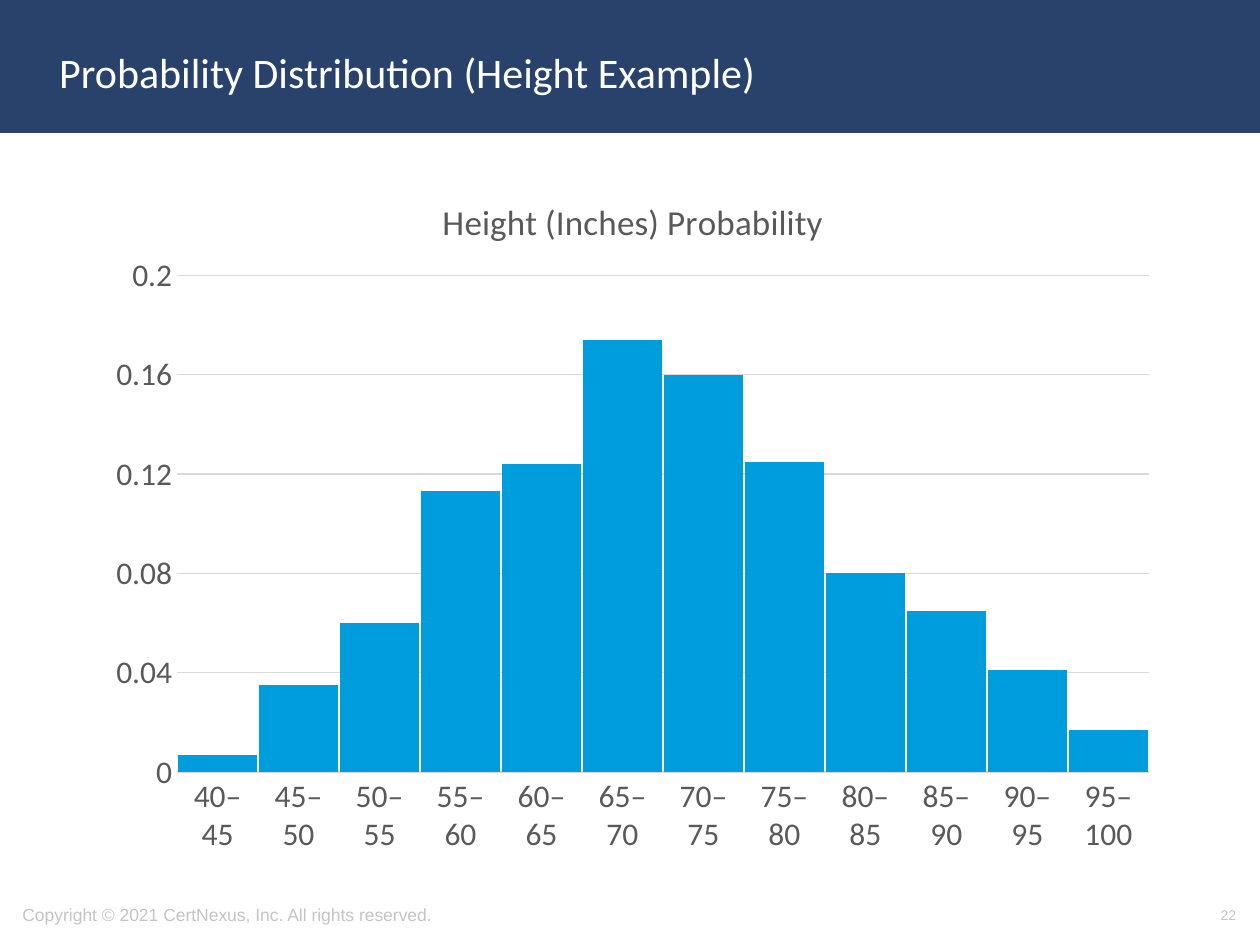
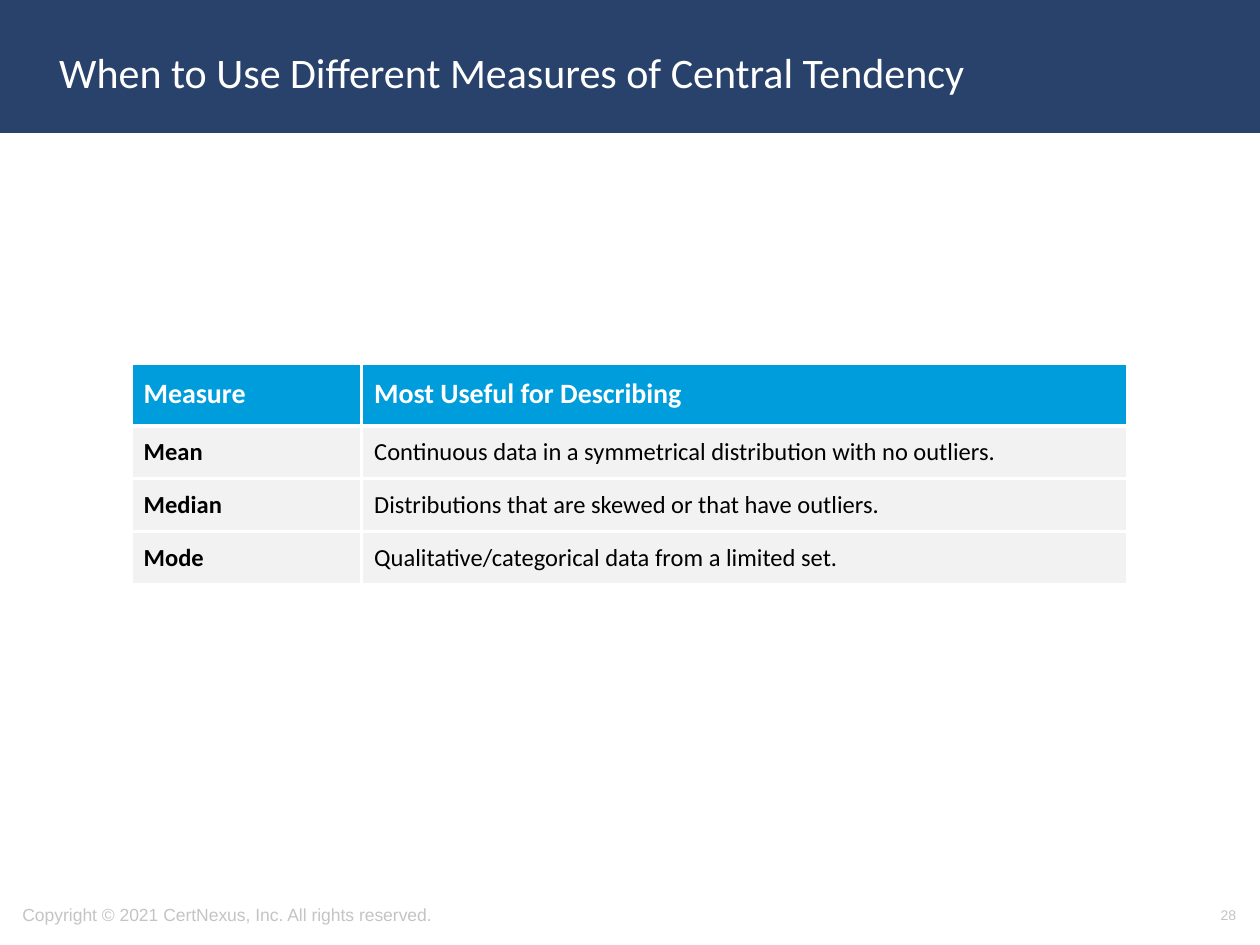
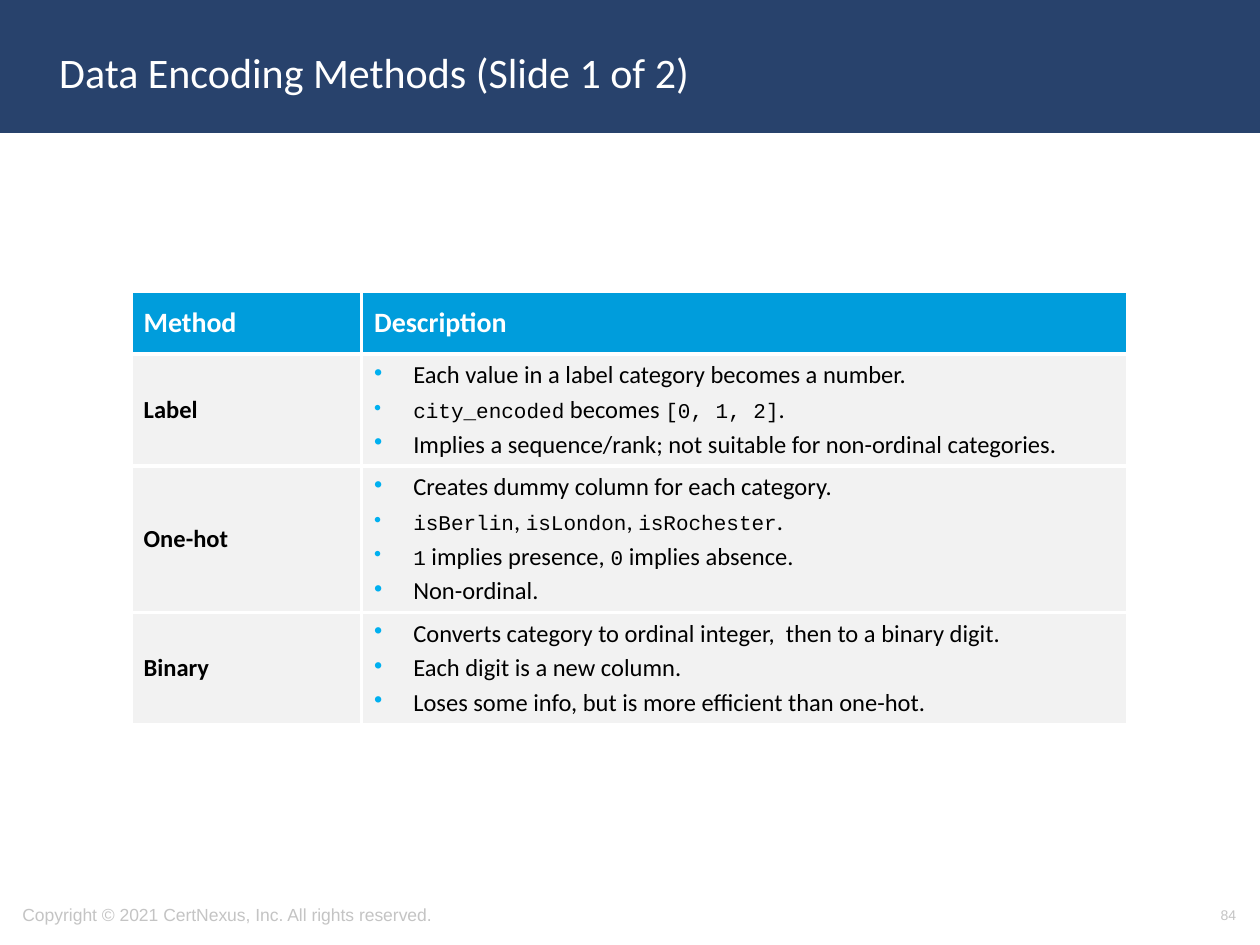
from dataclasses import dataclass
from lxml.etree import SubElement
from pptx import Presentation
from pptx.chart.data import CategoryChartData
from pptx.dml.color import RGBColor
from pptx.enum.chart import XL_CHART_TYPE, XL_TICK_MARK
from pptx.enum.shapes import MSO_SHAPE
from pptx.enum.text import MSO_ANCHOR, PP_ALIGN
from pptx.oxml import parse_xml
from pptx.oxml.ns import nsdecls, qn
from pptx.util import Inches, Pt


@dataclass(frozen=True)
class Theme:
    """Colours, fonts and type sizes of the deck."""
    navy: str = "28426C"
    blue: str = "009DDC"
    dot: str = "00B0F0"
    pale: str = "F2F2F2"
    white: str = "FFFFFF"
    black: str = "000000"
    gray: str = "595959"
    rule: str = "D9D9D9"
    faint: str = "C4C4C4"
    body: str = "Calibri"
    plain: str = "Arial"
    mono: str = "Courier New"
    title: int = 24
    chart: int = 20
    axis: int = 18
    head: int = 16
    cell: int = 14
    code: int = 12
    foot: int = 10
    page: int = 8


T = Theme()
TITLE = dict(name=T.body, size=Pt(T.title), color=T.white, bold=False)
FOOT = dict(name=T.plain, size=Pt(T.foot), color=T.faint)
PAGE = FOOT | dict(size=Pt(T.page))
AXIS = dict(name=T.body, size=Pt(T.axis), color=T.gray, bold=False)
CHART = AXIS | dict(size=Pt(T.chart))
HEAD = dict(name=T.body, size=Pt(T.head), color=T.white, bold=True)
CELL = dict(name=T.body, size=Pt(T.cell), color=T.black, bold=False)
LABEL = CELL | dict(bold=True)
CODE = CELL | dict(name=T.mono, size=Pt(T.code))


def put(item, **vals):
    """Set each named attribute on an item."""
    for key, val in vals.items():
        setattr(item, key, val)


def style(font, look):
    """Apply a text look to a font."""
    for key, val in look.items():
        if key == "color":
            font.color.rgb = RGBColor.from_string(val)
        else:
            setattr(font, key, val)


def paint(fill, color):
    """Make a fill solid."""
    fill.solid()
    fill.fore_color.rgb = RGBColor.from_string(color)


def stroke(line, color, width):
    """Colour a line and set its width in points."""
    paint(line.fill, color)
    line.width = Pt(width)


def place(shape, box):
    """Move a shape to a box given in inches."""
    for key, val in zip(("left", "top", "width", "height"), box):
        setattr(shape, key, Inches(val))


def write(para, text, look):
    """Add runs to a paragraph, with backticks around code."""
    for n, part in enumerate(text.split("`")):
        if part:
            run = para.add_run()
            run.text = part
            style(run.font, CODE if n % 2 else look)


def note(slide, box, text, look, align):
    """Add a small line of footer text."""
    shape = slide.shapes.add_textbox(*map(Inches, box))
    frame = shape.text_frame
    put(frame, word_wrap=True, vertical_anchor=MSO_ANCHOR.MIDDLE)
    frame.paragraphs[0].alignment = align
    write(frame.paragraphs[0], text, look)


def start(deck, title, page):
    """Add a slide with band, title and footer."""
    slide = deck.slides.add_slide(deck.slide_layouts[5])
    band = slide.shapes.add_shape(MSO_SHAPE.RECTANGLE, 0, 0, deck.slide_width, Inches(1.04))
    band.shadow.inherit = False
    paint(band.fill, T.navy)
    stroke(band.line, T.navy, 2)
    head = slide.shapes.title
    head._element.addprevious(band._element)
    place(head, (0.37, 0.11, 8.62, 0.92))
    put(head.text_frame, word_wrap=True, vertical_anchor=MSO_ANCHOR.MIDDLE)
    para = head.text_frame.paragraphs[0]
    para.alignment = PP_ALIGN.LEFT
    write(para, title, TITLE)
    note(slide, (0.08, 7.06, 5.27, 0.4),
         "Copyright © 2021 CertNexus, Inc. All rights reserved.", FOOT, PP_ALIGN.LEFT)
    note(slide, (7.58, 7.06, 2.33, 0.4), str(page), PAGE, PP_ALIGN.RIGHT)
    return slide


def layout(**vals):
    """Build a manual chart layout from its values."""
    inner = "".join(f'<c:{key} val="{val}"/>' for key, val in vals.items())
    return parse_xml(f'<c:layout {nsdecls("c")}><c:manualLayout>{inner}</c:manualLayout></c:layout>')


def fix(parent, new):
    """Replace the layout of a chart title or plot area."""
    for old in parent.findall(qn("c:layout")):
        parent.remove(old)
    text = parent.find(qn("c:tx"))
    if text is None:
        parent.insert(0, new)
    else:
        text.addnext(new)


def graph(slide, box, title, names, vals):
    """Draw a histogram in a box."""
    data = CategoryChartData()
    data.categories = names
    data.add_series("Series 1", vals)
    chart = slide.shapes.add_chart(XL_CHART_TYPE.COLUMN_CLUSTERED, *map(Inches, box), data).chart
    put(chart, has_legend=False, has_title=True)
    style(chart.font, CELL | dict(size=Pt(T.foot)))
    write(chart.chart_title.text_frame.paragraphs[0], title, CHART)
    chart.chart_title.include_in_layout = False
    plot = chart.plots[0]
    put(plot, gap_width=2, overlap=-27, vary_by_categories=False)
    paint(plot.series[0].format.fill, T.blue)
    cat, val = chart.category_axis, chart.value_axis
    for axis in (cat, val):
        put(axis, major_tick_mark=XL_TICK_MARK.NONE, minor_tick_mark=XL_TICK_MARK.NONE)
        style(axis.tick_labels.font, AXIS)
    stroke(cat.format.line, T.rule, 0.75)
    put(val, minimum_scale=0, maximum_scale=0.2, major_unit=0.04, has_major_gridlines=True)
    put(val.tick_labels, number_format="General", number_format_is_linked=False)
    val.format.line.fill.background()
    stroke(val.major_gridlines.format.line, T.rule, 0.75)
    fix(chart.chart_title._element, layout(xMode="edge", yMode="edge", x=0.32, y=0.05))
    area = chart._chartSpace.chart.plotArea
    fix(area, layout(layoutTarget="inner", xMode="edge", yMode="edge", x=0.08, y=0.17, w=0.9, h=0.7))


def edge(cell):
    """Give a cell white borders on all sides."""
    props = cell._tc.get_or_add_tcPr()
    for side in "LRTB":
        line = SubElement(props, qn(f"a:ln{side}"), w=str(Pt(2.25)))
        fill = SubElement(line, qn("a:solidFill"))
        SubElement(fill, qn("a:srgbClr"), val=T.white)


def bullet(para):
    """Give a paragraph a hanging blue bullet."""
    props = para._p.get_or_add_pPr()
    props.set("marL", str(Inches(0.31)))
    props.set("indent", str(-Inches(0.31)))
    color = SubElement(props, qn("a:buClr"))
    SubElement(color, qn("a:srgbClr"), val=T.dot)
    SubElement(props, qn("a:buChar"), char="•")


def fill(cell, text, look, color):
    """Write a cell, as a bullet list when given a list."""
    edge(cell)
    paint(cell.fill, color)
    cell.vertical_anchor = MSO_ANCHOR.MIDDLE
    frame = cell.text_frame
    listed = isinstance(text, list)
    for n, line in enumerate(text if listed else [text]):
        para = frame.add_paragraph() if n else frame.paragraphs[0]
        if listed:
            bullet(para)
        if n:
            para.space_before = Pt(2.8)
        write(para, line, look)


def grid(slide, top, rows, tall):
    """Draw a two-column table with a blue head row."""
    cols = (1.83, 6.08)
    box = (1.04, top, sum(cols), sum(tall))
    table = slide.shapes.add_table(len(rows), len(cols), *map(Inches, box)).table
    table.horz_banding = False
    for col, wide in zip(table.columns, cols):
        col.width = Inches(wide)
    for r, (row, high) in enumerate(zip(rows, tall)):
        table.rows[r].height = Inches(high)
        for c, text in enumerate(row):
            look = HEAD if r == 0 else CELL if c else LABEL
            fill(table.cell(r, c), text, look, T.pale if r else T.blue)


def main():
    """Build the deck."""
    deck = Presentation()
    put(deck, slide_width=Inches(10), slide_height=Inches(7.5))

    slide = start(deck, "Probability Distribution (Height Example)", 22)
    names = [f"{low}–{low + 5}" for low in range(40, 100, 5)]
    odds = (0.007, 0.035, 0.06, 0.113, 0.124, 0.174, 0.16, 0.125, 0.08, 0.065, 0.041, 0.017)
    graph(slide, (0.72, 1.23, 8.57, 5.63), "Height (Inches) Probability", names, odds)

    slide = start(deck, "When to Use Different Measures of Central Tendency", 28)
    grid(slide, 2.88, [
        ("Measure", "Most Useful for Describing"),
        ("Mean", "Continuous data in a symmetrical distribution with no outliers."),
        ("Median", "Distributions that are skewed or that have outliers."),
        ("Mode", "Qualitative/categorical data from a limited set."),
    ], (0.5, 0.42, 0.42, 0.42))

    slide = start(deck, "Data Encoding Methods (Slide 1 of 2)", 84)
    grid(slide, 2.31, [
        ("Method", "Description"),
        ("Label", [
            "Each value in a label category becomes a number.",
            "`city_encoded` becomes `[0, 1, 2]`.",
            "Implies a sequence/rank; not suitable for non-ordinal categories."]),
        ("One-hot", [
            "Creates dummy column for each category.",
            "`isBerlin`, `isLondon`, `isRochester`.",
            "`1` implies presence, `0` implies absence.",
            "Non-ordinal."]),
        ("Binary", [
            "Converts category to ordinal integer,  then to a binary digit.",
            "Each digit is a new column.",
            "Loses some info, but is more efficient than one-hot."]),
    ], (0.5, 0.89, 1.16, 0.89))

    deck.save("out.pptx")


if __name__ == "__main__":
    main()
